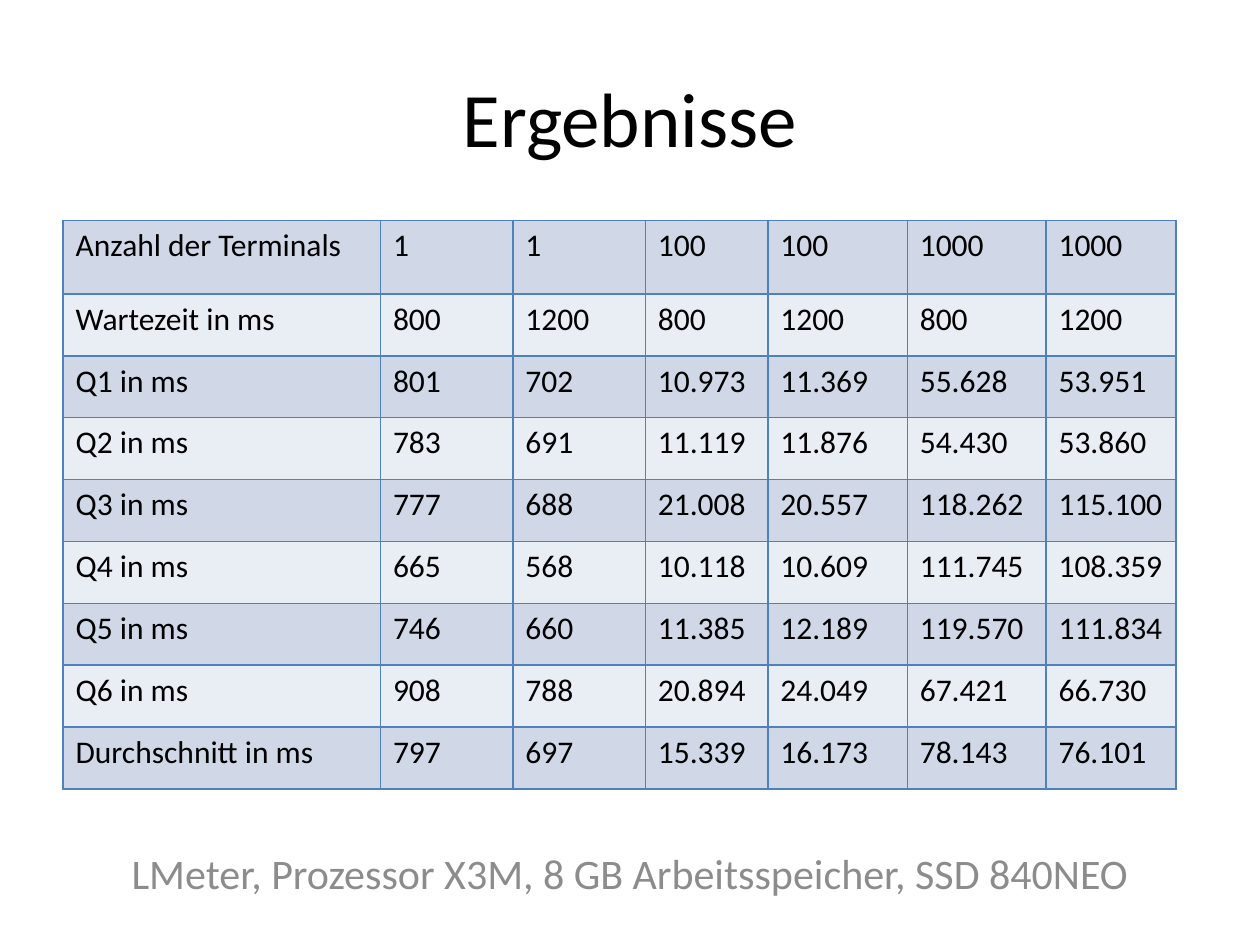
from dataclasses import dataclass

from lxml.etree import SubElement
from pptx import Presentation
from pptx.dml.color import RGBColor
from pptx.enum.text import MSO_ANCHOR as Anchor, PP_ALIGN as Align
from pptx.oxml.ns import qn
from pptx.slide import Slide
from pptx.table import _Cell as Cell
from pptx.text.text import _Paragraph as Paragraph
from pptx.util import Pt

FONT = "Calibri"
BLACK = RGBColor(0x00, 0x00, 0x00)
GRAY = RGBColor(0x8C, 0x8C, 0x8C)
BORDER = RGBColor(0x4F, 0x81, 0xBD)
BANDS = (RGBColor(0xD0, 0xD8, 0xE8), RGBColor(0xE9, 0xED, 0xF4))

COLUMN_WIDTHS = (181.4, 75.7, 75.7, 70, 79.7, 79.3, 74.2)
HEADER_HEIGHT = 42
ROW_HEIGHT = 35.36
RESULTS = (
    ("Anzahl der Terminals", "1", "1", "100", "100", "1000", "1000"),
    ("Wartezeit in ms", "800", "1200", "800", "1200", "800", "1200"),
    ("Q1 in ms", "801", "702", "10.973", "11.369", "55.628", "53.951"),
    ("Q2 in ms", "783", "691", "11.119", "11.876", "54.430", "53.860"),
    ("Q3 in ms", "777", "688", "21.008", "20.557", "118.262", "115.100"),
    ("Q4 in ms", "665", "568", "10.118", "10.609", "111.745", "108.359"),
    ("Q5 in ms", "746", "660", "11.385", "12.189", "119.570", "111.834"),
    ("Q6 in ms", "908", "788", "20.894", "24.049", "67.421", "66.730"),
    ("Durchschnitt in ms", "797", "697", "15.339", "16.173", "78.143", "76.101"),
)


@dataclass(frozen=True)
class Caption:
    text: str
    left: float
    top: float
    width: float
    height: float
    size: float
    color: RGBColor


CAPTIONS = (
    Caption("Ergebnisse", 36, 21.6, 648, 90, 44, BLACK),
    Caption("LMeter, Prozessor X3M, 8 GB Arbeitsspeicher, SSD 840NEO",
            48.2, 468.7, 623.5, 60.5, 24, GRAY),
)


def add_span(para: Paragraph, text: str, size: float, color: RGBColor) -> None:
    span = para.add_run()
    span.text = text
    span.font.name = FONT
    span.font.size = Pt(size)
    span.font.color.rgb = color


def add_caption(page: Slide, caption: Caption) -> None:
    box = page.shapes.add_textbox(Pt(caption.left), Pt(caption.top),
                                  Pt(caption.width), Pt(caption.height))
    frame = box.text_frame
    frame.word_wrap = True
    frame.vertical_anchor = Anchor.MIDDLE
    para = frame.paragraphs[0]
    para.alignment = Align.CENTER
    add_span(para, caption.text, caption.size, caption.color)


def add_borders(cell: Cell) -> None:
    properties = cell._tc.get_or_add_tcPr()
    for position, side in enumerate(("lnL", "lnR", "lnT", "lnB")):
        line = SubElement(properties, qn(f"a:{side}"), w=str(Pt(1)))
        fill = SubElement(line, qn("a:solidFill"))
        SubElement(fill, qn("a:srgbClr"), val=str(BORDER))
        properties.insert(position, line)


def add_results(page: Slide) -> None:
    height = HEADER_HEIGHT + ROW_HEIGHT * (len(RESULTS) - 1)
    table = page.shapes.add_table(len(RESULTS), len(COLUMN_WIDTHS), Pt(36), Pt(126),
                                  Pt(sum(COLUMN_WIDTHS)), Pt(height)).table
    table.first_row = False
    table.horz_banding = False
    for column, width in zip(table.columns, COLUMN_WIDTHS):
        column.width = Pt(width)
    for index, values in enumerate(RESULTS):
        table.rows[index].height = Pt(ROW_HEIGHT if index else HEADER_HEIGHT)
        for column, value in enumerate(values):
            cell = table.cell(index, column)
            cell.fill.solid()
            cell.fill.fore_color.rgb = BANDS[index % 2]
            add_borders(cell)
            add_span(cell.text_frame.paragraphs[0], value, 18, BLACK)


def main() -> None:
    deck = Presentation()
    deck.slide_width = Pt(720)
    deck.slide_height = Pt(540)
    page = deck.slides.add_slide(deck.slide_layouts[6])
    add_results(page)
    for caption in CAPTIONS:
        add_caption(page, caption)
    deck.save("out.pptx")


if __name__ == "__main__":
    main()
